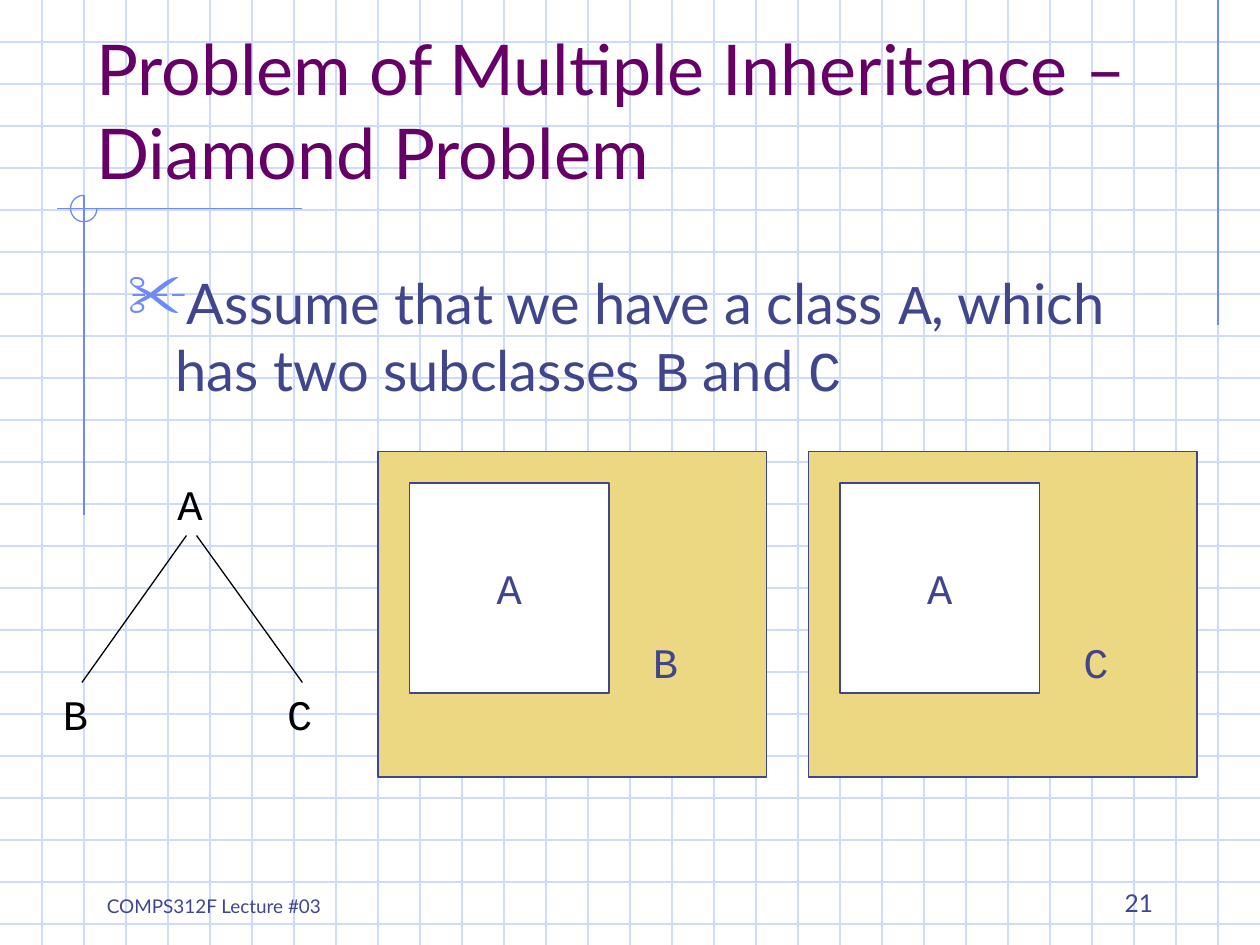
from lxml.etree import SubElement
from pptx import Presentation
from pptx.dml.color import RGBColor
from pptx.enum.shapes import MSO_CONNECTOR, MSO_SHAPE
from pptx.enum.text import MSO_ANCHOR, PP_ALIGN
from pptx.oxml.ns import qn
from pptx.util import Inches, Pt

COLORS = {
    "grid": "CFDBFD",
    "accent": "6F89F7",
    "title": "660066",
    "text": "40458C",
    "box": "ECD882",
    "white": "FFFFFF",
    "black": "000000",
}
SANS, MONO = "Lato", "Courier New"
COLUMNS, ROWS = 30, 22.5


def cells(*counts):
    """Turn counts of grid cells, three to the inch, into lengths."""
    return [Inches(count / 3) for count in counts]


def color(name):
    """Look up a named colour."""
    return RGBColor.from_string(COLORS[name])


def add_line(slide, start, end, color_name):
    """Draw a thin straight line between two grid points."""
    line = slide.shapes.add_connector(MSO_CONNECTOR.STRAIGHT, *cells(*start, *end))
    line.line.color.rgb = color(color_name)
    line.line.width = Pt(0.75)
    SubElement(line._element.spPr, qn("a:effectLst"))


def add_grid(slide):
    """Rule the slide like squared paper."""
    for row in range(1, int(ROWS) + 1):
        add_line(slide, (0, row), (COLUMNS, row), "grid")
    for column in range(1, COLUMNS):
        add_line(slide, (column, 0), (column, ROWS), "grid")


def add_accents(slide):
    """Draw the blue margin lines and the open circle at their crossing."""
    add_line(slide, (29, 0), (29, 7.75), "accent")
    add_line(slide, (7.2, 4.97), (1.35, 4.97), "accent")
    add_line(slide, (2, 4.65), (2, 12.27), "accent")
    arc = slide.shapes.add_shape(MSO_SHAPE.ARC, *cells(1.68, 4.65, 0.63, 0.63))
    arc.adjustments[0], arc.adjustments[1] = 0, 162
    arc.shadow.inherit = False
    arc.fill.background()
    arc.line.color.rgb = color("accent")
    arc.line.width = Pt(0.75)


def style(font, name, size, color_name):
    """Set the face, size and colour of a font."""
    font.name, font.size = name, Pt(size)
    font.color.rgb = color(color_name)


def add_text(slide, place, text, name, size, color_name,
             anchor=MSO_ANCHOR.TOP, align=PP_ALIGN.LEFT, wrap=True):
    """Add a text box and return its paragraph."""
    frame = slide.shapes.add_textbox(*cells(*place)).text_frame
    frame.word_wrap = wrap
    frame.vertical_anchor = anchor
    paragraph = frame.paragraphs[0]
    paragraph.text = text
    paragraph.alignment = align
    style(paragraph.font, name, size, color_name)
    return paragraph


def add_label(slide, left, top, letter, color_name):
    """Add a single class name."""
    add_text(slide, (left, top, 1.2, 1.5), letter, MONO, 24, color_name, wrap=False)


def add_bullet(paragraph, character):
    """Give a paragraph a coloured hanging bullet."""
    properties = paragraph._p.get_or_add_pPr()
    properties.set("marL", str(Inches(0.38)))
    properties.set("indent", str(-Inches(0.38)))
    bullet_color = SubElement(properties, qn("a:buClr"))
    SubElement(bullet_color, qn("a:srgbClr"), val=COLORS["accent"])
    SubElement(properties, qn("a:buSzPct"), val="110000")
    SubElement(properties, qn("a:buChar"), char=character)


def add_body(slide):
    """Add the bulleted sentence with class names in the code font."""
    paragraph = add_text(slide, (2.75, 6.25, 25.5, 13.5), "", SANS, 32, "text")
    paragraph.space_before = Pt(8)
    add_bullet(paragraph, "✂")
    pieces = [("Assume that we have a class ", SANS), ("A", MONO),
              (", which has two subclasses ", SANS), ("B", MONO),
              (" and ", SANS), ("C", MONO)]
    for text, name in pieces:
        run = paragraph.add_run()
        run.text = text
        style(run.font, name, 32, "text")


def add_box(slide, place, fill_name):
    """Add an outlined rectangle."""
    box = slide.shapes.add_shape(MSO_SHAPE.RECTANGLE, *cells(*place))
    box.shadow.inherit = False
    box.fill.solid()
    box.fill.fore_color.rgb = color(fill_name)
    box.line.color.rgb = color("text")
    box.line.width = Pt(0.75)
    return box


def add_nested_class(slide, left, top, subclass):
    """Show a subclass as a box that contains its parent A."""
    add_box(slide, (left, top, 9.25, 7.75), "box")
    parent = add_box(slide, (left + 0.75, top + 0.75, 4.75, 5), "white")
    frame = parent.text_frame
    frame.word_wrap = False
    frame.vertical_anchor = MSO_ANCHOR.MIDDLE
    paragraph = frame.paragraphs[0]
    paragraph.text = "A"
    paragraph.alignment = PP_ALIGN.CENTER
    style(paragraph.font, MONO, 24, "text")
    add_label(slide, left + 6.25, top + 4.25, subclass, "text")


def add_class_tree(slide):
    """Draw class A with branches to B and C."""
    add_label(slide, 3.93, 11.25, "A", "black")
    add_line(slide, (1.95, 16.25), (4.44, 12.75), "black")
    add_line(slide, (4.68, 12.75), (7.2, 16.25), "black")
    add_label(slide, 1.2, 16.25, "B", "black")
    add_label(slide, 6.54, 16.25, "C", "black")


def main():
    """Build and save the slide."""
    presentation = Presentation()
    presentation.slide_width, presentation.slide_height = cells(COLUMNS, ROWS)
    slide = presentation.slides.add_slide(presentation.slide_layouts[6])
    add_grid(slide)
    add_accents(slide)
    add_text(slide, (2, 1, 25.5, 3.75),
             "Problem of Multiple Inheritance – Diamond Problem",
             SANS, 40, "title", MSO_ANCHOR.BOTTOM)
    add_body(slide)
    add_text(slide, (2.25, 20.5, 6.25, 1.5), "COMPS312F Lecture #03",
             SANS, 10.8, "text", MSO_ANCHOR.BOTTOM)
    add_text(slide, (21.5, 20.5, 6.25, 1.5), "21",
             SANS, 14, "text", MSO_ANCHOR.BOTTOM, PP_ALIGN.RIGHT)
    for left, subclass in ((9, "B"), (19.25, "C")):
        add_nested_class(slide, left, 10.75, subclass)
    add_class_tree(slide)
    presentation.save("out.pptx")


if __name__ == "__main__":
    main()
